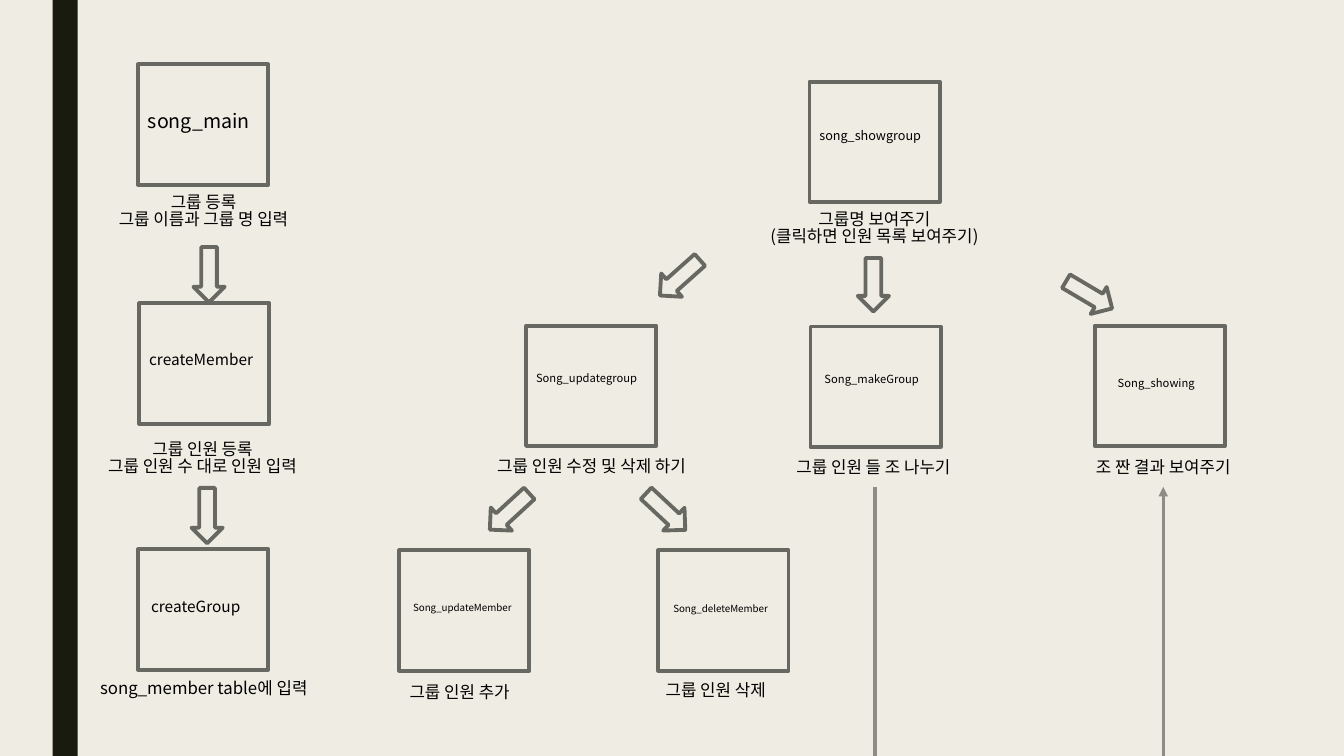
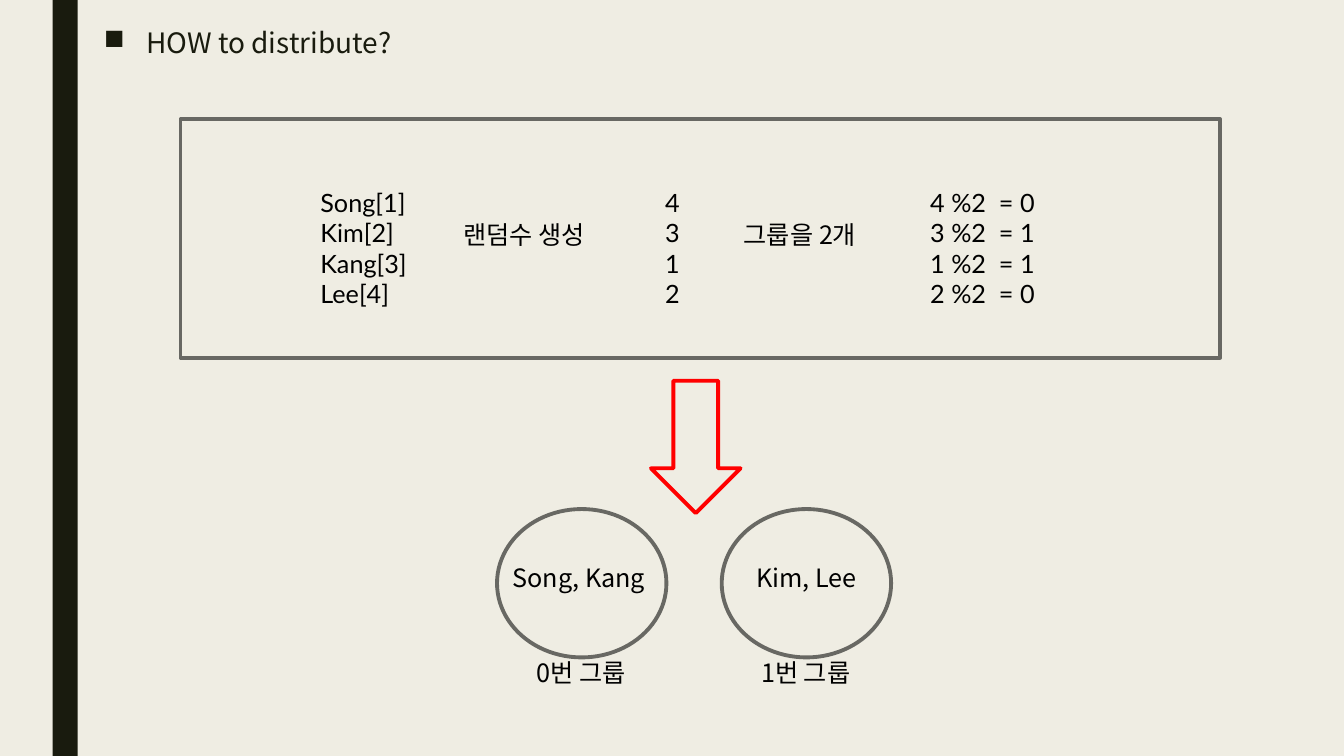
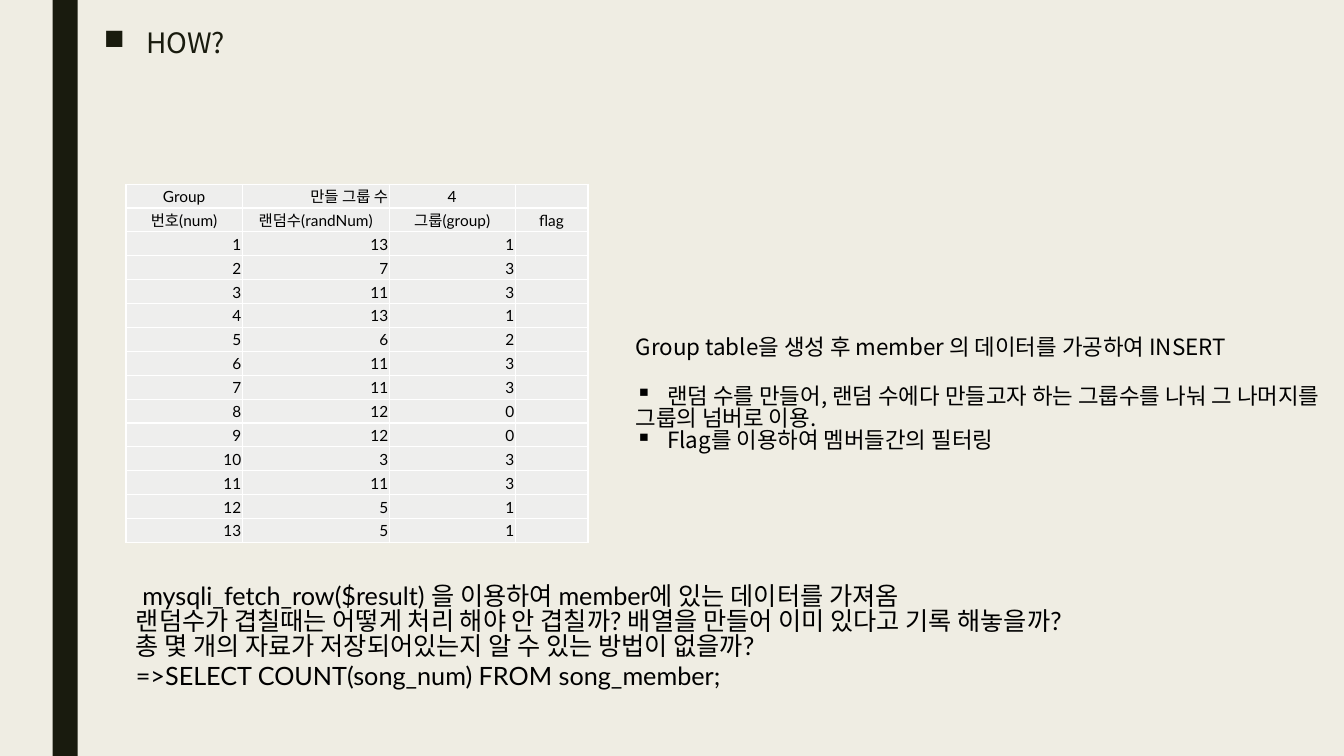
import pptx
import pptx.util
import pptx.dml.color
import pptx.enum.shapes
import pptx.enum.text
import pptx.oxml.ns
from dataclasses import dataclass
from lxml import etree

Pt = pptx.util.Pt
SHAPE = pptx.enum.shapes.MSO_SHAPE
ALIGN = pptx.enum.text.PP_ALIGN
ANCHOR = pptx.enum.text.MSO_ANCHOR
qn = pptx.oxml.ns.qn


@dataclass(frozen=True)
class Theme:
    back: str = "EFEDE3"
    dark: str = "191B0E"
    text: str = "000000"
    outline: str = "686863"
    link: str = "8C8D86"
    accent: str = "FF0000"
    cell: str = "EEEEED"
    grid: str = "FFFFFF"
    korean: str = "Noto Sans CJK KR"
    latin: str = "Lato"
    title: int = 20
    body: int = 18
    note: int = 16
    caption: int = 12
    table: int = 11
    outline_width: float = 2.75
    link_width: float = 2.25
    korean_spacing: float = 0.83


T = Theme()
WIDTH, HEIGHT = 960, 540

# Slide 1: box left, top; label, size, offset; caption lines, centre, top
BOX_W, BOX_H = 93, 86
PAGES = [
    (98.6, 46, "song_main", 14, (0, 31), ["그룹 등록", "그룹 이름과 그룹 명 입력"], 145.4, 136),
    (99.4, 216.7, "createMember", 11, (0, 32.4), ["그룹 인원 등록", "그룹 인원 수 대로 인원 입력"], 144.7, 312.5),
    (98.6, 392.4, "createGroup", 11, (2.2, 33.1), ["song_member table에 입력"], 145.6, 483),
    (578.2, 58.3, "song_showgroup", 9, (0, 31), ["그룹명 보여주기", "(클릭하면 인원 목록 보여주기)"], 624.6, 148.3),
    (375.8, 232.6, "Song_updategroup", 8, (0, 31), ["그룹 인원 수정 및 삭제 하기"], 422.6, 324.7),
    (578.9, 233.3, "Song_makeGroup", 8, (2.9, 31), ["그룹 인원 들 조 나누기 "], 625.3, 325.4),
    (781.9, 232.6, "Song_showing", 8, (9.4, 34.5), ["조 짠 결과 보여주기"], 830.9, 325.4),
    (285.1, 393.1, "Song_updateMember", 7, (2.9, 34.6), ["그룹 인원 추가"], 328.3, 486),
    (470.2, 393.1, "Song_deleteMember", 7, (3.6, 35.3), ["그룹 인원 삭제"], 511.2, 484.6),
]
# left, top, height, rotation
FLOW_ARROWS = [
    (136.8, 348.5, 39.6, 0), (138.2, 176.4, 39.6, 0), (612.7, 184.3, 38.2, 0),
    (474.5, 179.3, 38.2, 48.3), (464.4, 346.3, 38.2, 313),
    (352.8, 346.3, 38.2, 47.4), (766.8, 191.5, 38.2, 300.6),
]
LINK_TOP = 347.8
LINK_FROM_X, LINK_TO_X = 625, 830.9

# Slide 2
MEMBERS = ["Song", "Kim", "Kang", "Lee"]
DRAWS = [4, 3, 1, 2]
DIVISOR = 2
LIST_TOP, STEP_TOP = 130.3, 157
# left, top, width, lines, font
DISTRIBUTION = [
    (221.8, LIST_TOP, 194, [f"{m}[{i}]" for i, m in enumerate(MEMBERS, 1)], T.latin),
    (324, STEP_TOP, 130, ["랜덤수 생성"], T.korean),
    (468, LIST_TOP, 40, [str(d) for d in DRAWS], T.latin),
    (524.2, STEP_TOP, 190, ["그룹을 2개"], T.korean),
    (657.4, LIST_TOP, 127, [f"{d} %{DIVISOR}  = {d % DIVISOR}" for d in DRAWS], T.latin),
]
CIRCLE_W, CIRCLE_H, CIRCLE_TOP = 121, 106, 363.6
# left of circle, members, caption
TEAMS = [(355, "Song, Kang ", "0번 그룹"), (515.5, "Kim, Lee", "1번 그룹")]

# Slide 3
GROUPS = 4
RANDOM = [13, 7, 11, 13, 6, 11, 11, 12, 12, 3, 11, 5, 5]
ROWS = [["Group", "만들 그룹 수", str(GROUPS), ""],
        ["번호(num)", "랜덤수(randNum)", "그룹(group)", "flag"]]
ROWS += [[str(i), str(n), str(n % GROUPS), ""] for i, n in enumerate(RANDOM, 1)]
COLUMNS = [83, 105, 90, 52]
ROW_H = 17.08
NOTES = [
    ("Group table을 생성 후 member 의 데이터를 가공하여 INSERT", None, 0),
    ("랜덤 수를 만들어, 랜덤 수에다 만들고자 하는 그룹수를 나눠 그 나머지를", "▪", 19),
    ("그룹의 넘버로 이용.", None, 0),
    ("Flag를 이용하여 멤버들간의 필터링", "▪", 0),
]
QUESTIONS = [
    " mysqli_fetch_row($result) 을 이용하여 member에 있는 데이터를 가져옴",
    "랜덤수가 겹칠때는 어떻게 처리 해야 안 겹칠까? 배열을 만들어 이미 있다고 기록 해놓을까?",
    "총 몇 개의 자료가 저장되어있는지 알 수 있는 방법이 없을까?",
    "=>SELECT COUNT(song_num) FROM song_member;",
]


def rgb(color):
    return pptx.dml.color.RGBColor.from_string(color)


def assign(obj, **values):
    for name, value in values.items():
        setattr(obj, name, value)


def write(p, text, size, font, color=T.text, **paragraph):
    """Fill a paragraph; Korean lines are tightened to the Latin line height."""
    r = p.add_run()
    r.text = text
    assign(r.font, size=Pt(size), name=font, bold=False)
    r.font.color.rgb = rgb(color)
    etree.SubElement(r.font._element, qn("a:ea")).set("typeface", T.korean)
    if font == T.korean or not text.isascii():
        paragraph.setdefault("line_spacing", T.korean_spacing)
    assign(p, **paragraph)


def bullet(p, char, indent):
    pPr = p._p.get_or_add_pPr()
    pPr.set("marL", str(Pt(indent)))
    pPr.set("indent", str(-Pt(indent)))
    etree.SubElement(pPr, qn("a:buChar")).set("char", char)


def add_text(slide, left, top, width, lines, size, font=T.korean, align=ALIGN.LEFT):
    box = slide.shapes.add_textbox(Pt(left), Pt(top), Pt(width),
                                   Pt(round(7.2 + 1.2 * size * len(lines), 2)))
    tf = box.text_frame
    tf.word_wrap = True
    for i, line in enumerate(lines):
        p = tf.add_paragraph() if i else tf.paragraphs[0]
        write(p, line, size, font, alignment=align)
    return tf


def add_caption(slide, center, top, lines, size, width=240):
    add_text(slide, center - width / 2, top, width, lines, size, align=ALIGN.CENTER)


def add_outline(slide, kind, left, top, width, height, color=T.outline, rotation=0):
    sp = slide.shapes.add_shape(kind, Pt(left), Pt(top), Pt(width), Pt(height))
    sp.shadow.inherit = False
    sp.fill.background()
    sp.line.color.rgb = rgb(color)
    sp.line.width = Pt(T.outline_width)
    sp.rotation = rotation


def add_link(slide, x, start, end, arrow=False):
    line = slide.shapes.add_connector(pptx.enum.shapes.MSO_CONNECTOR.STRAIGHT,
                                      Pt(x), Pt(start), Pt(x), Pt(end))
    line.line.color.rgb = rgb(T.link)
    line.line.width = Pt(T.link_width)
    spPr = line._element.spPr
    if arrow:
        etree.SubElement(spPr.find(qn("a:ln")), qn("a:tailEnd")).set("type", "triangle")
    etree.SubElement(spPr, qn("a:effectLst"))


def style_master(prs, slide):
    """Give the master its background and the dark side band."""
    master = prs.slide_master
    master.background.fill.solid()
    master.background.fill.fore_color.rgb = rgb(T.back)
    band = slide.shapes.add_shape(SHAPE.RECTANGLE, Pt(37.5), Pt(0), Pt(18), Pt(HEIGHT))
    band.shadow.inherit = False
    band.fill.solid()
    band.fill.fore_color.rgb = rgb(T.dark)
    band.line.fill.background()
    master.shapes.element.insert(2, band.element)


def titled_slide(prs, text):
    slide = prs.slides.add_slide(prs.slide_layouts[5])
    title = slide.shapes.title
    assign(title, left=Pt(67), top=Pt(18.7), width=Pt(538), height=Pt(86))
    tf = title.text_frame
    assign(tf, vertical_anchor=ANCHOR.TOP, word_wrap=True,
           auto_size=pptx.enum.text.MSO_AUTO_SIZE.NONE)
    p = tf.paragraphs[0]
    write(p, text, T.title, T.korean, T.dark, alignment=ALIGN.LEFT)
    bullet(p, "■", 30.2)
    return slide


def build_flow(slide):
    for left, top, label, size, (dx, dy), lines, center, caption_top in PAGES:
        add_outline(slide, SHAPE.RECTANGLE, left, top, BOX_W, BOX_H)
        add_text(slide, left + dx, top + dy, 165, [label], size)
        add_caption(slide, center, caption_top, lines, T.caption)
    for left, top, height, rotation in FLOW_ARROWS:
        add_outline(slide, SHAPE.DOWN_ARROW, left, top, 22.3, height, rotation=rotation)
    add_link(slide, LINK_FROM_X, LINK_TOP, HEIGHT)
    add_link(slide, LINK_TO_X, HEIGHT, LINK_TOP, arrow=True)


def build_distribution(slide):
    add_outline(slide, SHAPE.RECTANGLE, 129, 85, 742.5, 170.5)
    for left, top, width, lines, font in DISTRIBUTION:
        add_text(slide, left, top, width, lines, T.body, font)
    add_outline(slide, SHAPE.DOWN_ARROW, 465, 272, 64, 94.5, T.accent)
    for left, members, caption in TEAMS:
        center = left + CIRCLE_W / 2
        add_outline(slide, SHAPE.OVAL, left, CIRCLE_TOP, CIRCLE_W, CIRCLE_H)
        add_caption(slide, center, 401.8, [members], T.body, 146)
        add_caption(slide, center - 0.5, 469.8, [caption], T.body, 146)


def format_cell(cell, text, align):
    cell.fill.solid()
    cell.fill.fore_color.rgb = rgb(T.cell)
    assign(cell, vertical_anchor=ANCHOR.MIDDLE, margin_left=Pt(0.7),
           margin_right=Pt(0.7), margin_top=Pt(0.7), margin_bottom=Pt(0))
    p = cell.text_frame.paragraphs[0]
    if text:
        write(p, text, T.table, T.latin, alignment=align)
    else:
        etree.SubElement(p._p, qn("a:endParaRPr")).set("sz", str(T.table * 100))
    tcPr = cell._tc.get_or_add_tcPr()
    for i, side in enumerate(("lnL", "lnR", "lnT", "lnB")):
        ln = etree.Element(qn("a:" + side), w=str(Pt(1)))
        fill = etree.SubElement(ln, qn("a:solidFill"))
        etree.SubElement(fill, qn("a:srgbClr")).set("val", T.grid)
        tcPr.insert(i, ln)


def build_grouping(slide):
    table = slide.shapes.add_table(len(ROWS), len(COLUMNS), Pt(90), Pt(131.5),
                                   Pt(sum(COLUMNS)), Pt(ROW_H * len(ROWS))).table
    assign(table, first_row=False, horz_banding=False)
    for column, width in zip(table.columns, COLUMNS):
        column.width = Pt(width)
    for y, row in enumerate(ROWS):
        table.rows[y].height = Pt(ROW_H)
        for x, text in enumerate(row):
            right = y > 1 or (y, x) == (0, 1)
            format_cell(table.cell(y, x), text, ALIGN.RIGHT if right else ALIGN.CENTER)

    tf = add_text(slide, 447, 237.6, 564, [text for text, _, _ in NOTES], T.note)
    for p, (_, char, gap) in zip(tf.paragraphs, NOTES):
        p.space_before = Pt(gap)
        if char:
            bullet(p, char, 22.5)
    add_text(slide, 90, 414.7, 742, QUESTIONS, T.body, T.latin)


def main():
    prs = pptx.Presentation()
    assign(prs, slide_width=Pt(WIDTH), slide_height=Pt(HEIGHT))
    flow = prs.slides.add_slide(prs.slide_layouts[6])
    style_master(prs, flow)
    build_flow(flow)
    build_distribution(titled_slide(prs, "HOW to distribute?"))
    build_grouping(titled_slide(prs, "HOW?"))
    prs.save("out.pptx")


if __name__ == "__main__":
    main()
